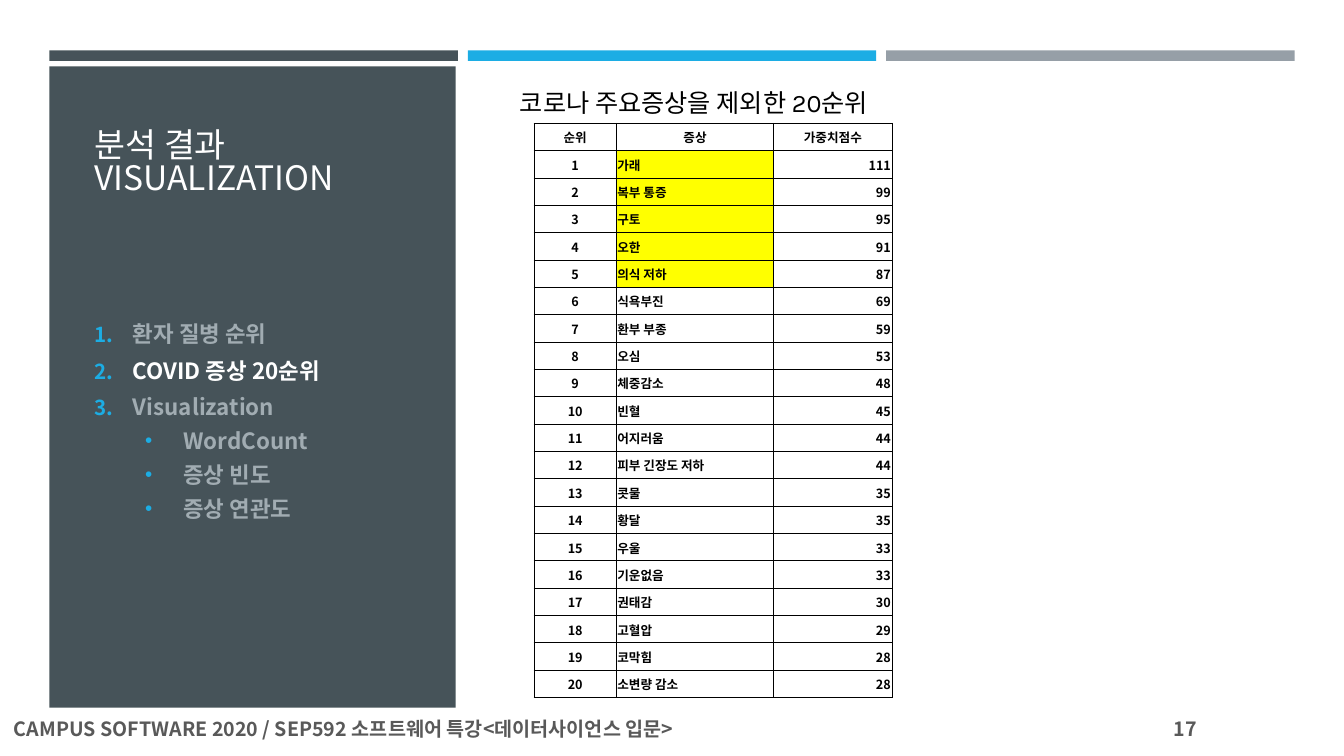
from dataclasses import dataclass
from lxml.etree import SubElement as Sub
from pptx import Presentation
from pptx.dml.color import RGBColor as Rgb
from pptx.enum.shapes import MSO_SHAPE as Kind
from pptx.enum.text import MSO_ANCHOR as Anchor, PP_ALIGN as Align
from pptx.oxml.ns import qn
from pptx.util import Inches, Pt


@dataclass(frozen=True)
class Theme:
    dark: str = "465359"
    blue: str = "1CADE4"
    gray: str = "969FA7"
    dim: str = "A1ACB2"
    foot: str = "595959"
    white: str = "FFFFFF"
    black: str = "000000"
    mark: str = "FFFF00"
    sans: str = "Noto Sans CJK KR"
    head: str = "Karla"
    title: int = 24
    lead: int = 18
    body: int = 16
    note: int = 14
    cell: int = 9


T = Theme()
ITEMS = [
    ("환자 질병 순위", 0, T.dim),
    ("COVID 증상 20순위", 0, T.white),
    ("Visualization", 0, T.dim),
    ("WordCount", 1, T.dim),
    ("증상 빈도", 1, T.dim),
    ("증상 연관도", 1, T.dim),
]
HEADS = ("순위", "증상", "가중치점수")
SCORES = [
    ("가래", 111), ("복부 통증", 99), ("구토", 95), ("오한", 91),
    ("의식 저하", 87), ("식욕부진", 69), ("환부 부종", 59), ("오심", 53),
    ("체중감소", 48), ("빈혈", 45), ("어지러움", 44), ("피부 긴장도 저하", 44),
    ("콧물", 35), ("황달", 35), ("우울", 33), ("기운없음", 33),
    ("권태감", 30), ("고혈압", 29), ("코막힘", 28), ("소변량 감소", 28),
]
MARKED = 5


def part(box, x, y, w, h):
    left, top, wide, high = box
    return (int(left + wide * x / 100), int(top + high * y / 100),
            int(wide * w / 100), int(high * h / 100))


def block(slide, box, color):
    shape = slide.shapes.add_shape(Kind.RECTANGLE, *box)
    shape.shadow.inherit = False
    shape.fill.solid()
    shape.fill.fore_color.rgb = Rgb.from_string(color)
    shape.line.fill.background()


def frame(slide, box):
    text = slide.shapes.add_textbox(*box).text_frame
    text.word_wrap = True
    return text


def write(para, text, size, color, bold=False, face=T.sans):
    run = para.add_run()
    run.text = text
    font = run.font
    font.size, font.bold, font.name = Pt(size), bold, face
    font.color.rgb = Rgb.from_string(color)
    Sub(run._r.get_or_add_rPr(), qn("a:ea"), typeface=T.sans)


def bullet(para, level):
    props = para._p.get_or_add_pPr()
    props.set("marL", str(Inches(0.38 + level / 2)))
    props.set("indent", str(Inches(-0.38)))
    Sub(Sub(props, qn("a:buClr")), qn("a:srgbClr"), val=T.blue)
    Sub(props, qn("a:buSzPct"), val="92000")
    if level:
        Sub(props, qn("a:buFont"), typeface="Arial")
        Sub(props, qn("a:buChar"), char="•")
    else:
        Sub(props, qn("a:buFont"), typeface=T.sans)
        Sub(props, qn("a:buAutoNum"), type="arabicPeriod")


def border(cell):
    props = cell._tc.get_or_add_tcPr()
    for i, side in enumerate(("lnL", "lnR", "lnT", "lnB")):
        line = props.makeelement(qn("a:" + side), {"w": str(Pt(0.5))})
        Sub(Sub(line, qn("a:solidFill")), qn("a:srgbClr"), val=T.black)
        props.insert(i, line)


def bars(slide, box):
    for i, color in enumerate((T.dark, T.blue, T.gray)):
        block(slide, part(box, i * 33.6, 0, 32.8, 100), color)


def sidebar(slide, box):
    block(slide, box, T.dark)
    title = frame(slide, part(box, 8.7, 5.7, 82.4, 29.6))
    title.margin_top = Inches(0.28)
    for i, text in enumerate(("분석 결과", "VISUALIZATION")):
        para = title.add_paragraph() if i else title.paragraphs[0]
        para.line_spacing = 0.82
        write(para, text, T.title, T.white)

    items = frame(slide, part(box, 8.7, 38.4, 82.4, 51.6))
    for i, (text, level, color) in enumerate(ITEMS):
        para = items.add_paragraph() if i else items.paragraphs[0]
        para.level = level
        para.line_spacing = 1.0 if level else 1.1
        para.space_after = Pt(5)
        bullet(para, level)
        write(para, text, T.body, color, True)


def ranking(slide, box):
    lead = frame(slide, part(box, 0, 0, 100, 6.6))
    write(lead.paragraphs[0], "코로나 주요증상을 제외한 20순위",
          T.lead, T.black, face=T.head)

    rows = [HEADS] + [(i, *row) for i, row in enumerate(SCORES, 1)]
    spot = part(box, 6, 6.6, 89.4, 93.4)
    table = slide.shapes.add_table(len(rows), len(HEADS), *spot).table
    table.first_row = table.horz_banding = False
    for col, share in zip(table.columns, (0.23, 0.44, 0.33)):
        col.width = int(spot[2] * share)
    sides = (Align.CENTER, Align.LEFT, Align.RIGHT)
    for r, row in enumerate(rows):
        table.rows[r].height = spot[3] // len(rows)
        for c, value in enumerate(row):
            cell = table.cell(r, c)
            cell.margin_left = cell.margin_right = Inches(0.01)
            cell.margin_top, cell.margin_bottom = Inches(0.01), 0
            cell.vertical_anchor = Anchor.MIDDLE
            if c == 1 and 1 <= r <= MARKED:
                cell.fill.solid()
                cell.fill.fore_color.rgb = Rgb.from_string(T.mark)
            else:
                cell.fill.background()
            border(cell)
            para = cell.text_frame.paragraphs[0]
            para.alignment = sides[c] if r else Align.CENTER
            write(para, str(value), T.cell, T.black, True)


def footer(slide, box):
    for text, x, w in (
        ("CAMPUS SOFTWARE 2020 / SEP592 소프트웨어 특강<데이터사이언스 입문>", 0, 56.7),
        ("17", 90.9, 9.1),
    ):
        para = frame(slide, part(box, x, 0, w, 100)).paragraphs[0]
        write(para, text, T.note, T.foot, True)


def main():
    deck = Presentation()
    deck.slide_width, deck.slide_height = Inches(13.33), Inches(7.5)
    page = (0, 0, deck.slide_width, deck.slide_height)
    slide = deck.slides.add_slide(deck.slide_layouts[6])
    bars(slide, part(page, 3.68, 6.67, 92.65, 1.4))
    sidebar(slide, part(page, 3.68, 8.8, 30.23, 84.8))
    ranking(slide, part(page, 37.95, 10.93, 29.78, 81.33))
    footer(slide, part(page, 0.3, 94.13, 94.95, 4.53))
    deck.save("out.pptx")


if __name__ == "__main__":
    main()
